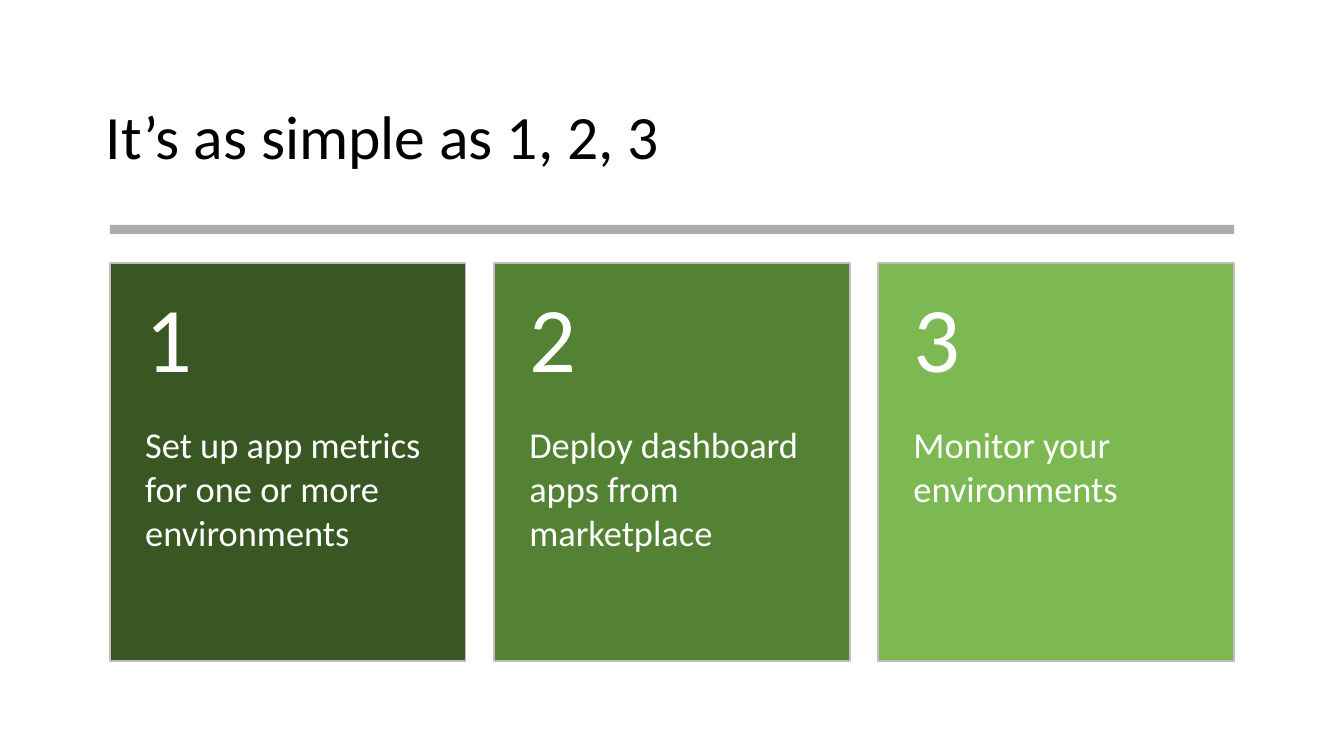
from dataclasses import dataclass

from lxml.etree import SubElement
from pptx import Presentation
from pptx.dml.color import RGBColor
from pptx.enum.shapes import MSO_SHAPE as Preset
from pptx.enum.text import MSO_ANCHOR as Anchor
from pptx.oxml.ns import qn
from pptx.util import Inches, Pt


@dataclass(frozen=True)
class Theme:
    font: str = "Calibri"
    ink: str = "000000"
    paper: str = "FFFFFF"
    rule: str = "808080"
    rule_opacity: int = 65
    border: str = "BFBFBF"
    title_size: int = 44
    number_size: int = 66
    step_size: int = 26


@dataclass(frozen=True)
class Area:
    left: float
    top: float
    width: float
    height: float

    def lengths(self) -> list:
        return [Inches(n) for n in (self.left, self.top, self.width, self.height)]


@dataclass(frozen=True)
class Grid:
    left: float = 1.09
    top: float = 2.61
    column: float = 3.53
    gutter: float = 0.28
    number_row: float = 1.58
    step_row: float = 2.37

    def card(self, index: int) -> Area:
        left = self.left + index * (self.column + self.gutter)
        return Area(left, self.top, self.column, self.number_row + self.step_row)

    def number(self, index: int) -> Area:
        return Area(self.card(index).left, self.top, self.column, self.number_row)

    def step(self, index: int) -> Area:
        top = self.top + self.number_row
        return Area(self.card(index).left, top, self.column, self.step_row)


@dataclass(frozen=True)
class Step:
    text: str
    fill: str


@dataclass(frozen=True)
class TextStyle:
    size: int
    colour: str
    anchor: Anchor
    insets: tuple[float, float, float, float]
    line_spacing: float = 1.0


THEME = Theme()
GRID = Grid()
TITLE_AREA = Area(0.95, 0.66, 11.43, 1.45)
RULE_AREA = Area(GRID.left, 2.23, 3 * GRID.column + 2 * GRID.gutter, 0.09)
TITLE = TextStyle(THEME.title_size, THEME.ink, Anchor.MIDDLE, (0.1, 0.05, 0.1, 0.05), 0.9)
NUMBER = TextStyle(THEME.number_size, THEME.paper, Anchor.MIDDLE, (0.35, 0.18, 0.35, 0.18), 0.9)
STEP = TextStyle(THEME.step_size, THEME.paper, Anchor.TOP, (0.35, 0, 0.35, 0.36))

STEPS = (
    Step("Set up app metrics for one or more environments", "385723"),
    Step("Deploy dashboard apps from marketplace", "548235"),
    Step("Monitor your environments", "7CB953"),
)


def add_block(page, area: Area, fill: str):
    """Draw a filled rectangle with neither shadow nor outline."""
    block = page.shapes.add_shape(Preset.RECTANGLE, *area.lengths())
    block.shadow.inherit = False
    block.fill.solid()
    block.fill.fore_color.rgb = RGBColor.from_string(fill)
    block.line.fill.background()
    return block


def add_text(page, area: Area, text: str, style: TextStyle) -> None:
    frame = page.shapes.add_textbox(*area.lengths()).text_frame
    frame.word_wrap = True
    frame.vertical_anchor = style.anchor
    (frame.margin_left, frame.margin_top,
     frame.margin_right, frame.margin_bottom) = map(Inches, style.insets)
    para = frame.paragraphs[0]
    para.line_spacing = style.line_spacing
    span = para.add_run()
    span.text = text
    span.font.name = THEME.font
    span.font.size = Pt(style.size)
    span.font.color.rgb = RGBColor.from_string(style.colour)


def add_rule(page) -> None:
    rule = add_block(page, RULE_AREA, THEME.rule)
    colour = next(rule.element.iter(qn("a:srgbClr")))
    SubElement(colour, qn("a:alpha"), val=str(THEME.rule_opacity * 1000))


def add_card(page, index: int, step: Step) -> None:
    card = add_block(page, GRID.card(index), step.fill)
    card.line.color.rgb = RGBColor.from_string(THEME.border)
    card.line.width = Pt(1)
    add_text(page, GRID.step(index), step.text, STEP)
    add_text(page, GRID.number(index), str(index + 1), NUMBER)


def main() -> None:
    deck = Presentation()
    deck.slide_width, deck.slide_height = Inches(13.33), Inches(7.5)
    page = deck.slides.add_slide(deck.slide_layouts[6])
    add_text(page, TITLE_AREA, "It’s as simple as 1, 2, 3", TITLE)
    add_rule(page)
    for index, step in enumerate(STEPS):
        add_card(page, index, step)
    deck.save("out.pptx")


if __name__ == "__main__":
    main()
